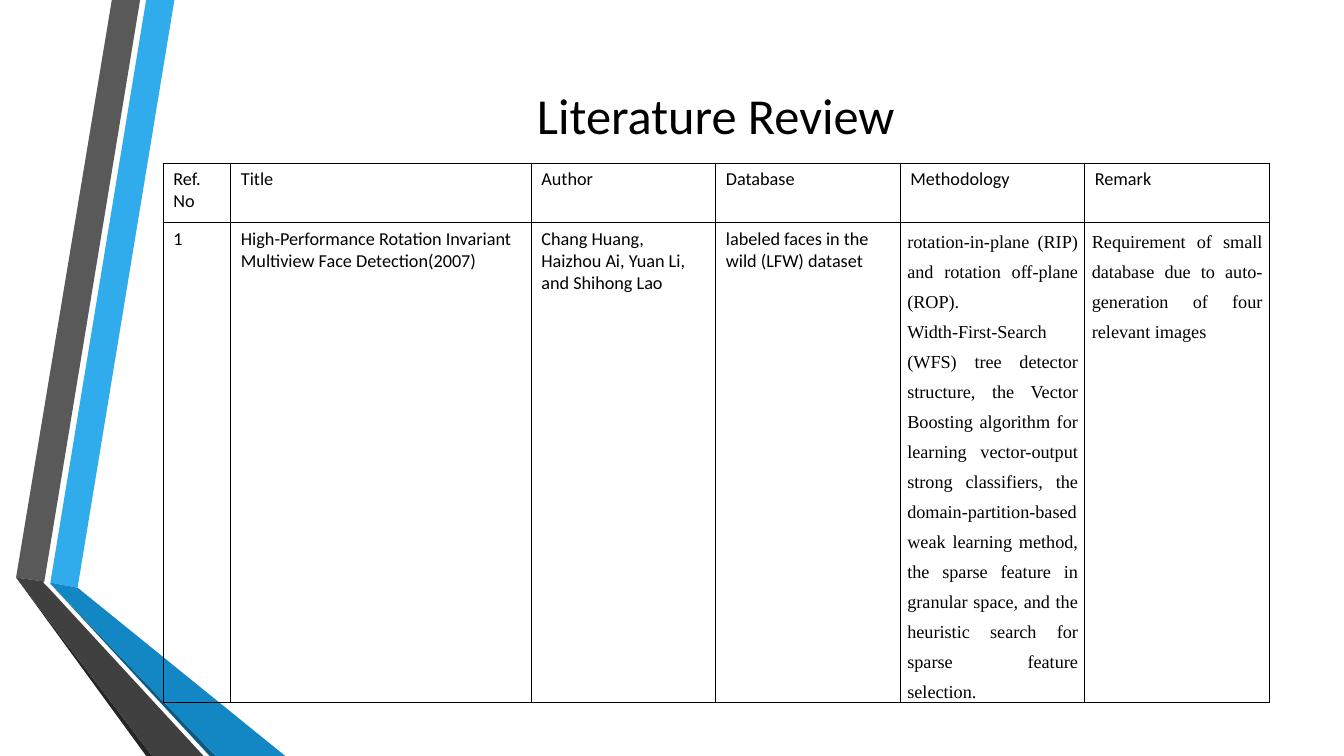
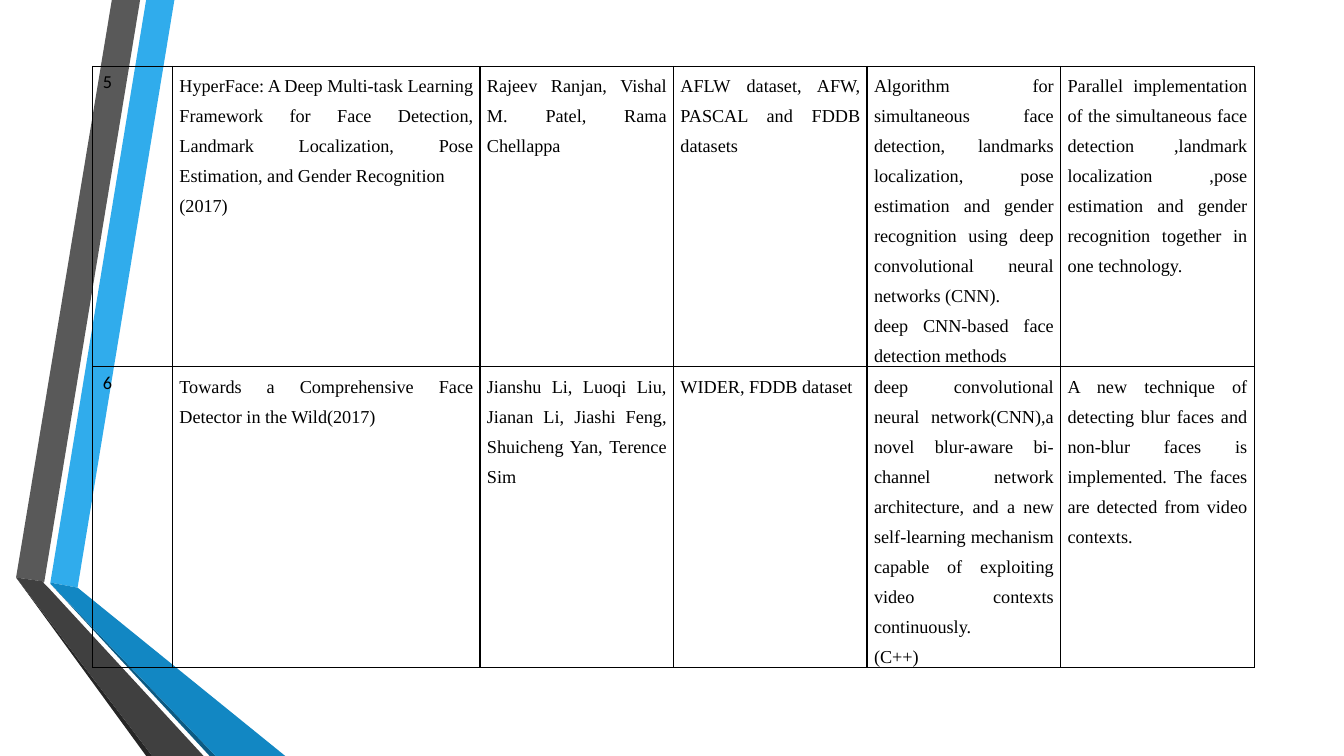
from dataclasses import dataclass

from lxml.etree import SubElement
from pptx import Presentation
from pptx.dml.color import RGBColor
from pptx.enum.text import MSO_ANCHOR, PP_ALIGN
from pptx.oxml.ns import qn
from pptx.util import Emu, Pt

EMU_PER_PX = 9144
TITLE_ONLY, BLANK = 5, 6


@dataclass(frozen=True)
class Theme:
    ink: str = "000000"
    sky: str = "30ACEC"
    blue: str = "1287C3"
    navy: str = "0C5A82"
    light_gray: str = "595959"
    gray: str = "404040"
    dark_gray: str = "262626"
    sans: str = "Calibri"
    serif: str = "Times New Roman"
    title_size: int = 36
    table_size: int = 13
    border_width: int = 1


THEME = Theme()

BANDS = [
    (THEME.sky, [(50, 578), (77, 583), (173, 0), (145, 0)]),
    (THEME.light_gray, [(139, 0), (111, 0), (16, 573), (44, 577)]),
    (THEME.dark_gray, [(16, 573), (145, 750), (151, 750)]),
    (THEME.navy, [(50, 579), (208, 750), (214, 750)]),
    (THEME.blue, [(50, 579), (214, 750), (283, 750), (77, 583), (50, 578)]),
    (THEME.gray, [(202, 750), (48, 583), (43, 578), (44, 577), (16, 573), (151, 750)]),
]

PLAIN_CELL = {
    "font": {"name": THEME.sans, "size": Pt(THEME.table_size), "bold": False},
    "para": {"alignment": PP_ALIGN.LEFT},
    "margins": (10, 5),
}
JUSTIFIED_CELL = {
    "font": {"name": THEME.serif, "size": Pt(THEME.table_size), "bold": False},
    "para": {"alignment": PP_ALIGN.JUSTIFY, "line_spacing": 1.5},
    "margins": (7, 0),
}

FIRST_STUDY = [
    ["Ref. No", "Title", "Author", "Database", "Methodology", "Remark"],
    [
        "1",
        "High-Performance Rotation Invariant Multiview Face Detection(2007)",
        "Chang Huang, Haizhou Ai, Yuan Li, and Shihong Lao",
        "labeled faces in the wild (LFW) dataset",
        (
            "rotation-in-plane (RIP) and rotation off-plane (ROP).",
            "Width-First-Search (WFS) tree detector structure, the Vector Boosting "
            "algorithm for learning vector-output strong classifiers, the "
            "domain-partition-based weak learning method, the sparse feature in "
            "granular space, and the heuristic search for sparse feature selection.",
        ),
        ("Requirement of small database due to auto-generation of four relevant images",),
    ],
]

LATER_STUDIES = [
    [
        "5",
        (
            "HyperFace: A Deep Multi-task Learning Framework for Face Detection, "
            "Landmark Localization, Pose Estimation, and Gender Recognition",
            "(2017)",
        ),
        ("Rajeev Ranjan, Vishal M. Patel, Rama Chellappa",),
        ("AFLW dataset, AFW, PASCAL and FDDB datasets",),
        (
            "Algorithm for simultaneous face detection, landmarks localization, pose "
            "estimation and gender recognition using deep convolutional neural "
            "networks (CNN).",
            "deep CNN-based face detection methods",
        ),
        (
            "Parallel implementation of the simultaneous face detection ,landmark "
            "localization ,pose estimation and gender recognition together in one "
            "technology.",
        ),
    ],
    [
        "6",
        ("Towards a Comprehensive Face Detector in the Wild(2017)",),
        ("Jianshu Li, Luoqi Liu, Jianan Li, Jiashi Feng, Shuicheng Yan, Terence Sim",),
        ("WIDER, FDDB dataset",),
        (
            "deep convolutional neural network(CNN),a novel blur-aware bi-channel "
            "network architecture, and a new self-learning mechanism capable of "
            "exploiting video contexts continuously.",
            "(C++)",
        ),
        (
            "A new technique of detecting blur faces and non-blur faces is "
            "implemented. The faces are detected from video contexts.",
        ),
    ],
]


def px(length):
    return Emu(length * EMU_PER_PX)


def apply(target, values):
    for name, value in values.items():
        setattr(target, name, value)


class ReviewDeck:
    def __init__(self, theme):
        self.theme = theme
        self.deck = Presentation()
        apply(self.deck, {"slide_width": px(1333), "slide_height": px(750)})
        self.page = None

    def add_page(self, layout):
        self.page = self.deck.slides.add_slide(self.deck.slide_layouts[layout])

    def add_master_bands(self, bands):
        master_tree = self.deck.slide_master.shapes.element
        for number, (color, (start, *corners)) in enumerate(bands, 20):
            outline = self.page.shapes.build_freeform(*start, scale=EMU_PER_PX)
            outline.add_line_segments(corners, close=True)
            band = outline.convert_to_shape()
            band.shadow.inherit = False
            band.fill.solid()
            band.fill.fore_color.rgb = RGBColor.from_string(color)
            band.line.fill.background()
            band.element.xpath("./p:nvSpPr/p:cNvPr")[0].set("id", str(number))
            master_tree.append(band.element)

    def style_font(self, font, values):
        apply(font, values)
        font.color.rgb = RGBColor.from_string(self.theme.ink)

    def add_title(self, text, left, top, width, height):
        box = self.page.shapes.title
        apply(box, {"left": px(left), "top": px(top), "width": px(width), "height": px(height)})
        box.text_frame.vertical_anchor = MSO_ANCHOR.MIDDLE
        para = box.text_frame.paragraphs[0]
        para.alignment = PP_ALIGN.CENTER
        span = para.add_run()
        span.text = text
        self.style_font(span.font, {"name": self.theme.sans, "size": Pt(self.theme.title_size)})

    def add_table(self, rows, left, top, column_widths, row_heights):
        frame = self.page.shapes.add_table(
            len(rows), len(column_widths), px(left), px(top),
            px(sum(column_widths)), px(sum(row_heights)),
        )
        table = frame.table
        apply(table, {"first_row": False, "horz_banding": False})
        for column, width in zip(table.columns, column_widths):
            column.width = px(width)
        for row, height, contents in zip(table.rows, row_heights, rows):
            row.height = px(height)
            for cell, content in zip(row.cells, contents):
                self.fill_cell(cell, content)

    def fill_cell(self, cell, content):
        is_plain = isinstance(content, str)
        style = PLAIN_CELL if is_plain else JUSTIFIED_CELL
        side, end = map(px, style["margins"])
        apply(cell, {
            "margin_left": side, "margin_right": side,
            "margin_top": end, "margin_bottom": end,
            "vertical_anchor": MSO_ANCHOR.TOP,
        })
        self.add_borders(cell)
        cell.fill.background()
        lines = [content] if is_plain else content
        cell.text_frame.text = "\n".join(lines)
        for para in cell.text_frame.paragraphs:
            apply(para, style["para"])
            for span in para.runs:
                self.style_font(span.font, style["font"])

    def add_borders(self, cell):
        properties = cell._tc.get_or_add_tcPr()
        for edge in ("a:lnL", "a:lnR", "a:lnT", "a:lnB"):
            line = SubElement(properties, qn(edge), w=str(Pt(self.theme.border_width)))
            fill = SubElement(line, qn("a:solidFill"))
            SubElement(fill, qn("a:srgbClr"), val=self.theme.ink)


def main():
    review = ReviewDeck(THEME)
    review.add_page(TITLE_ONLY)
    review.add_master_bands(BANDS)
    review.add_title("Literature Review", 162, 75, 1096, 76)
    review.add_table(FIRST_STUDY, 162, 162, [67, 298] + [183] * 4, [59, 476])
    review.add_page(BLANK)
    review.add_table(LATER_STUDIES, 92, 66, [79, 305] + [192] * 4, [298, 298])
    review.deck.save("out.pptx")


if __name__ == "__main__":
    main()
